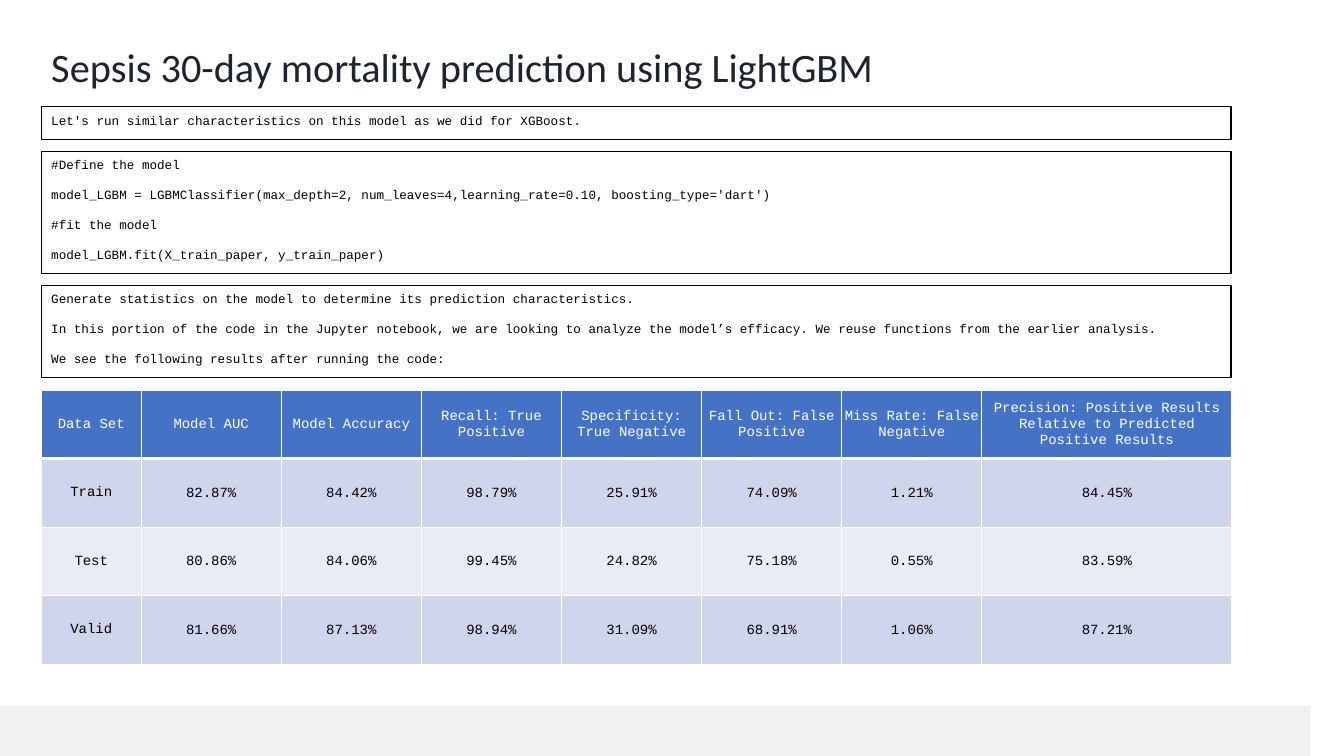
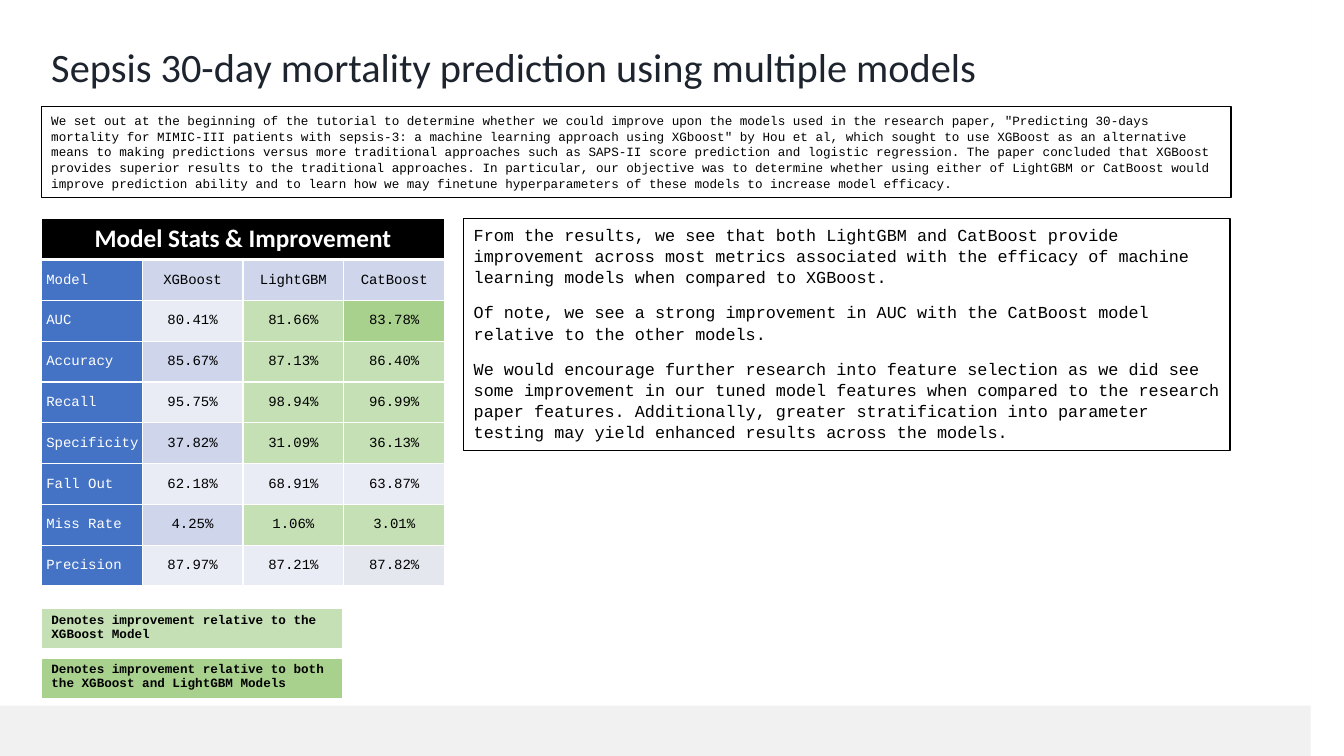
from lxml.etree import SubElement
from pptx import Presentation
from pptx.dml.color import RGBColor
from pptx.enum.shapes import MSO_SHAPE
from pptx.enum.text import MSO_ANCHOR, PP_ALIGN
from pptx.oxml.ns import qn
from pptx.util import Inches, Pt

CODE_FONT, TITLE_FONT = "Courier New", "Calibri"
BLACK, WHITE, BLUE = "000000", "FFFFFF", "4472C4"
FRAME_GREY, TITLE_INK = "F2F1F1", "1D242E"
BANDS = ["E9EBF5", "CFD5EA"]
BETTER, BEST, NEUTRAL = "C5E0B4", "A9D18E", "E4E8EE"
SLIDE_WIDTH, SLIDE_HEIGHT = 13.33, 7.5
LEFT, CONTENT_WIDTH = 0.41, 11.8
WIDE_INSETS = (0.1, 0.05, 0.1, 0.05)
TIGHT_INSETS = (0.01, 0.01, 0.01, 0)
LABEL_INSETS = (0.05, 0.01, 0.01, 0)

SCORES = [
    ["Data Set", "Model AUC", "Model Accuracy", "Recall: True Positive",
     "Specificity: True Negative", "Fall Out: False Positive",
     "Miss Rate: False Negative",
     "Precision: Positive Results Relative to Predicted Positive Results"],
    ["Train", "82.87%", "84.42%", "98.79%", "25.91%", "74.09%", "1.21%", "84.45%"],
    ["Test", "80.86%", "84.06%", "99.45%", "24.82%", "75.18%", "0.55%", "83.59%"],
    ["Valid", "81.66%", "87.13%", "98.94%", "31.09%", "68.91%", "1.06%", "87.21%"],
]
# Each row: label, three values, then the fills that replace the band colour.
COMPARISON = [
    (["Model", "XGBoost", "LightGBM", "CatBoost"], {}),
    (["AUC", "80.41%", "81.66%", "83.78%"], {2: BETTER, 3: BEST}),
    (["Accuracy", "85.67%", "87.13%", "86.40%"], {2: BETTER, 3: BETTER}),
    (["Recall", "95.75%", "98.94%", "96.99%"], {2: BETTER, 3: BETTER}),
    (["Specificity", "37.82%", "31.09%", "36.13%"], {2: BETTER, 3: BETTER}),
    (["Fall Out", "62.18%", "68.91%", "63.87%"], {}),
    (["Miss Rate", "4.25%", "1.06%", "3.01%"], {2: BETTER, 3: BETTER}),
    (["Precision", "87.97%", "87.21%", "87.82%"], {3: NEUTRAL}),
]
LEGEND = [
    ("Denotes improvement relative to the XGBoost Model", BETTER),
    ("Denotes improvement relative to both the XGBoost and LightGBM Models", BEST),
]


def color(value):
    return RGBColor.from_string(value)


def style_para(para, size, ink, font=CODE_FONT, bold=False, align=PP_ALIGN.LEFT):
    para.alignment = align
    for span in para.runs:
        span.font.name = font
        span.font.size = Pt(size)
        span.font.bold = bold
        span.font.color.rgb = color(ink)


def add_frame(page):
    """Draw the grey border as an outer rectangle with an inner hole."""
    builder = page.shapes.build_freeform(0, 0, scale=Inches(1))
    builder.add_line_segments(
        [(SLIDE_WIDTH, 0), (SLIDE_WIDTH, SLIDE_HEIGHT), (0, SLIDE_HEIGHT)])
    left, top, right, bottom = 0.18, 0.17, 13.16, 7.33
    builder.move_to(left, top)
    builder.add_line_segments([(left, bottom), (right, bottom), (right, top)])
    frame = builder.convert_to_shape()
    frame.shadow.inherit = False
    frame.fill.solid()
    frame.fill.fore_color.rgb = color(FRAME_GREY)
    frame.line.fill.background()


def add_page(deck, title):
    page = deck.slides.add_slide(deck.slide_layouts[6])
    add_frame(page)
    box = page.shapes.add_textbox(
        Inches(LEFT), Inches(0.36), Inches(11.08), Inches(0.59))
    box.text_frame.word_wrap = True
    box.text_frame.vertical_anchor = MSO_ANCHOR.BOTTOM
    para = box.text_frame.paragraphs[0]
    para.text = title
    para.line_spacing = 1.1
    style_para(para, 28.8, TITLE_INK, TITLE_FONT)
    return page


def add_outlined_box(page, top, height, lines, left=LEFT, width=CONTENT_WIDTH, size=9):
    box = page.shapes.add_shape(MSO_SHAPE.RECTANGLE, Inches(left), Inches(top),
                                Inches(width), Inches(height))
    box.shadow.inherit = False
    box.fill.background()
    box.line.color.rgb = color(BLACK)
    box.line.width = Pt(0.75)
    frame = box.text_frame
    frame.word_wrap = True
    frame.vertical_anchor = MSO_ANCHOR.TOP
    frame.text = "\n".join(lines)
    for para in frame.paragraphs:
        para.space_before = Pt(10)
        para.line_spacing = 1.05
        style_para(para, size, BLACK)


def add_plain_table(page, top, column_widths, row_count, row_height):
    """Add a table without the styled header and bands."""
    table = page.shapes.add_table(
        row_count, len(column_widths), Inches(LEFT), Inches(top),
        Inches(sum(column_widths)), Inches(row_height * row_count)).table
    table.first_row = table.horz_banding = False
    for column, width in zip(table.columns, column_widths):
        column.width = Inches(width)
    return table


def set_borders(cell, **widths):
    """Draw white borders; the keys are the sides L, R, T and B."""
    properties = cell._tc.get_or_add_tcPr()
    for side, width in widths.items():
        line = SubElement(properties, qn(f"a:ln{side}"), w=str(Pt(width)))
        fill = SubElement(line, qn("a:solidFill"))
        SubElement(fill, qn("a:srgbClr"), val=WHITE)


def fill_cell(cell, text, fill, ink=BLACK, insets=TIGHT_INSETS, bottom_border=1,
              size=10, anchor=MSO_ANCHOR.MIDDLE, align=PP_ALIGN.CENTER, **style):
    set_borders(cell, L=1, R=1, B=bottom_border)
    cell.fill.solid()
    cell.fill.fore_color.rgb = color(fill)
    cell.margin_left, cell.margin_top, cell.margin_right, cell.margin_bottom = map(
        Inches, insets)
    cell.vertical_anchor = anchor
    cell.text = text
    style_para(cell.text_frame.paragraphs[0], size, ink, align=align, **style)


def add_score_table(page):
    widths = [0.99] + [1.39] * 6 + [2.48]
    table = add_plain_table(page, 3.87, widths, len(SCORES), 0.68)
    for row, values in enumerate(SCORES):
        for column, value in enumerate(values):
            cell = table.cell(row, column)
            if row == 0:
                fill_cell(cell, value, BLUE, WHITE, bottom_border=3)
            else:
                insets = TIGHT_INSETS if column else WIDE_INSETS
                fill_cell(cell, value, BANDS[row % 2], insets=insets)


def add_comparison_table(page):
    table = add_plain_table(page, 2.17, [1] * 4, len(COMPARISON) + 1, 0.405)
    heading = table.cell(0, 0)
    heading.merge(table.cell(0, 3))
    fill_cell(heading, "Model Stats & Improvement", BLACK, WHITE, WIDE_INSETS,
              bottom_border=3, size=18, font=TITLE_FONT, bold=True)
    for cell in list(table.rows[0].cells)[1:]:
        set_borders(cell, R=1, B=3)
    for row, (values, highlights) in enumerate(COMPARISON, start=1):
        fill_cell(table.cell(row, 0), values[0], BLUE, WHITE, LABEL_INSETS,
                  align=PP_ALIGN.LEFT)
        for column, value in enumerate(values[1:], start=1):
            fill = highlights.get(column, BANDS[row % 2])
            fill_cell(table.cell(row, column), value, fill)


def add_legend(page):
    for index, (text, fill) in enumerate(LEGEND):
        table = add_plain_table(page, 6.04 + 0.49 * index, [2.99], 1, 0.41)
        fill_cell(table.cell(0, 0), text, fill, insets=WIDE_INSETS, bottom_border=3,
                  size=9, anchor=MSO_ANCHOR.TOP, align=PP_ALIGN.LEFT, bold=True)


def add_lightgbm_page(deck):
    page = add_page(deck, "Sepsis 30-day mortality prediction using LightGBM")
    add_outlined_box(page, 1.06, 0.32, [
        "Let's run similar characteristics on this model as we did for XGBoost."])
    add_outlined_box(page, 1.5, 1.21, [
        "#Define the model",
        "model_LGBM = LGBMClassifier(max_depth=2, num_leaves=4,learning_rate=0.10, "
        "boosting_type='dart')",
        "#fit the model",
        "model_LGBM.fit(X_train_paper, y_train_paper)"])
    add_outlined_box(page, 2.83, 0.92, [
        "Generate statistics on the model to determine its prediction characteristics.",
        "In this portion of the code in the Jupyter notebook, we are looking to analyze "
        "the model’s efficacy. We reuse functions from the earlier analysis.",
        "We see the following results after running the code:"])
    add_score_table(page)


def add_comparison_page(deck):
    page = add_page(deck, "Sepsis 30-day mortality prediction using multiple models")
    add_outlined_box(page, 1.06, 0.9, [
        "We set out at the beginning of the tutorial to determine whether we could "
        "improve upon the models used in the research paper, \"Predicting 30-days "
        "mortality for MIMIC-III patients with sepsis-3: a machine learning approach "
        "using XGboost\" by Hou et al, which sought to use XGBoost as an alternative "
        "means to making predictions versus more traditional approaches such as "
        "SAPS-II score prediction and logistic regression. The paper concluded that "
        "XGBoost provides superior results to the traditional approaches. In "
        "particular, our objective was to determine whether using either of LightGBM "
        "or CatBoost would improve prediction ability and to learn how we may finetune "
        "hyperparameters of these models to increase model efficacy."])
    add_comparison_table(page)
    add_outlined_box(page, 2.17, 2.3, [
        "From the results, we see that both LightGBM and CatBoost provide improvement "
        "across most metrics associated with the efficacy of machine learning models "
        "when compared to XGBoost.",
        "Of note, we see a strong improvement in AUC with the CatBoost model relative "
        "to the other models.",
        "We would encourage further research into feature selection as we did see some "
        "improvement in our tuned model features when compared to the research paper "
        "features. Additionally, greater stratification into parameter testing may "
        "yield enhanced results across the models."], left=4.6, width=7.6, size=12)
    add_legend(page)


def main():
    deck = Presentation()
    deck.slide_width = Inches(SLIDE_WIDTH)
    deck.slide_height = Inches(SLIDE_HEIGHT)
    add_lightgbm_page(deck)
    add_comparison_page(deck)
    deck.save("out.pptx")


if __name__ == "__main__":
    main()
